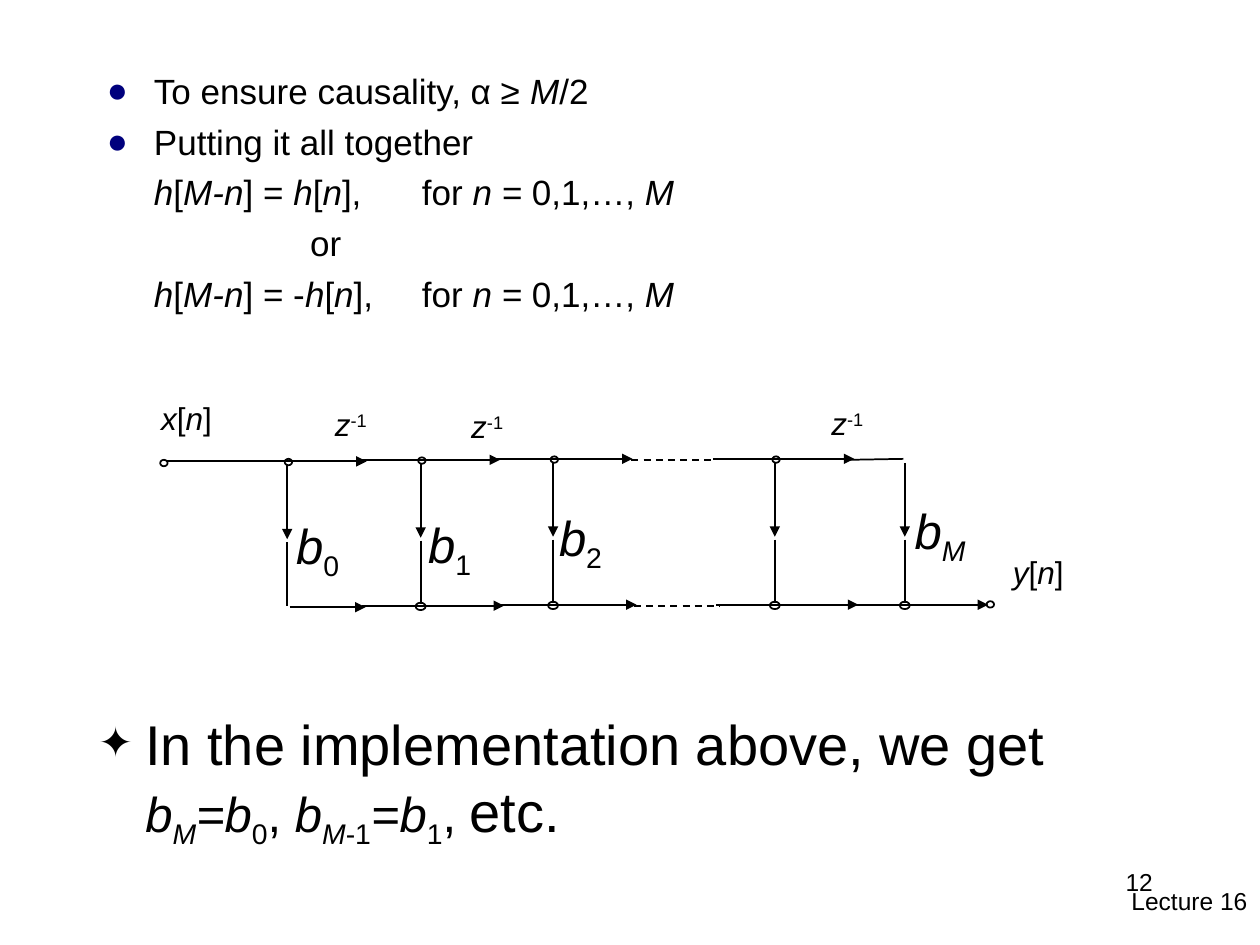
from lxml import etree
from pptx import Presentation
from pptx.dml.color import RGBColor
from pptx.enum.dml import MSO_LINE
from pptx.enum.shapes import MSO_CONNECTOR, MSO_SHAPE
from pptx.enum.text import MSO_AUTO_SIZE, PP_ALIGN
from pptx.oxml.ns import qn
from pptx.util import Cm, Pt

BLACK = RGBColor.from_string("000000")


def add_runs(p, size, runs):
    """Add (text, style) runs; in a style i is italic, _ subscript, ^ superscript, + 32 pt."""
    for text, style in runs:
        r = p.add_run()
        r.text = text
        r.font.name = "Arial"
        r.font.size = Pt(32 if "+" in style else size)
        r.font.italic = "i" in style
        r.font.color.rgb = BLACK
        if "_" in style:
            r.font._element.set("baseline", "-25000")
        elif "^" in style:
            r.font._element.set("baseline", "30000")


def add_wire(x1, y1, x2, y2, arrow=True, dashed=False):
    c = graph.shapes.add_connector(MSO_CONNECTOR.STRAIGHT, Cm(x1), Cm(y1), Cm(x2), Cm(y2))
    c.line.color.rgb = BLACK
    c.line.width = Pt(1)
    if dashed:
        c.line.dash_style = MSO_LINE.DASH
    if arrow:
        etree.SubElement(c.line._get_or_add_ln(), qn("a:tailEnd"), type="triangle")
    etree.SubElement(c._element.spPr, qn("a:effectLst"))


prs = Presentation()
prs.slide_width, prs.slide_height = Cm(25.4), Cm(19.05)
s = prs.slides.add_slide(prs.slide_layouts[1])
title = s.shapes.title._element
title.getparent().remove(title)

# Footer
for text, x, y, w, h in [("Lecture 16", 19.48, 17.73, 5.92, 1.32),
                         ("12", 18.21, 17.35, 5.28, 1.27)]:
    tf = s.shapes.add_textbox(Cm(x), Cm(y), Cm(w), Cm(h)).text_frame
    tf.word_wrap = True
    tf.paragraphs[0].alignment = PP_ALIGN.RIGHT
    add_runs(tf.paragraphs[0], 14, [(text, "")])

# Bulleted text above and below the flow graph
body = s.placeholders[1]
body.left, body.top, body.width, body.height = Cm(1.9), Cm(1.27), Cm(21.59), Cm(8.38)
remark = s.shapes.add_textbox(Cm(1.73), Cm(14.17), Cm(21.59), Cm(3.61))
for sp in (body, remark):
    sp.text_frame.word_wrap = True
    sp.text_frame.auto_size = MSO_AUTO_SIZE.NONE

h_n = [("h", "i"), ("[", ""), ("n", "i")]
h_mirror = [("h", "i"), ("[", ""), ("M-n", "i")]
for_n = [("],\tfor ", ""), ("n =", "i"), (" 0,1,…, ", ""), ("M", "i")]
# shape, size, left margin, first-line indent, (bullet, colour, size), tab stop, runs
paragraphs = [
    (body, 20, 0.95, -0.95, ("●", "00007D", 100), None,
     [("To ensure causality, α ≥ ", ""), ("M", "i"), ("/2", "")]),
    (body, 20, 0.95, -0.95, ("●", "00007D", 100), None, [("Putting it all together", "")]),
    (body, 20, 0, 0.95, None, 6.1, h_mirror + [("] = ", "")] + h_n + for_n),
    (body, 20, 4.1, 0, None, None, [("or", "")]),
    (body, 20, 0, 0.95, None, 6.35, h_mirror + [("] = -", "")] + h_n + for_n),
    (remark, 28, 0.95, -0.95, ("✦", "000000", 75), None,
     [("In the implementation above, we get ", "+"), ("b", "i"), ("M", "i_"), ("=b", "i"),
      ("0", "_"), (", ", ""), ("b", "i"), ("M", "i_"), ("-1", "_"), ("=b", "i"), ("1", "_"),
      (", ", ""), ("etc.", "+")]),
]
for sp, size, margin, indent, bullet, tab, runs in paragraphs:
    tf = sp.text_frame
    first = not tf.paragraphs[0].runs
    p = tf.paragraphs[0] if first else tf.add_paragraph()
    pPr = p._p.get_or_add_pPr()
    pPr.set("marL", str(Cm(margin)))
    pPr.set("indent", str(Cm(indent)))
    if bullet:
        char, color, percent = bullet
        clr = etree.SubElement(pPr, qn("a:buClr"))
        etree.SubElement(clr, qn("a:srgbClr"), val=color)
        etree.SubElement(pPr, qn("a:buSzPct"), val=str(percent * 1000))
        etree.SubElement(pPr, qn("a:buFont"), typeface="Arial")
        etree.SubElement(pPr, qn("a:buChar"), char=char)
    else:
        etree.SubElement(pPr, qn("a:buNone"))
    if tab:
        tabs = etree.SubElement(pPr, qn("a:tabLst"))
        etree.SubElement(tabs, qn("a:tab"), pos=str(Cm(tab)), algn="l")
    p.space_before = Pt(0 if first else 5)
    add_runs(p, size, runs)

# Flow graph: one tap per coefficient, input line above and output line below
graph = s.shapes.add_group_shape()
taps = [(5.79, 9.3), (8.48, 9.27), (11.15, 9.25), (15.62, 9.25), (18.24, 9.25)]
last = len(taps) - 1
nodes = [(3.23, 9.27, 0.15, 0.13), (19.89, 12.12, 0.15, 0.13)]
for i, (x, top) in enumerate(taps):
    bottom = top + 2.94
    add_wire(x, top + 0.08, x, top + 1.57)
    add_wire(x, top + 1.63, x, bottom - 0.03, arrow=False)
    if i < last:
        add_wire(x - 1.25 if i else 3.35, top, x + 1.6, top)
        nodes.append((x - 0.05, top - 0.05, 0.15, 0.13))
    add_wire(x - 1.18 if i else x + 0.05, bottom, x + 1.68 if i else x + 1.58, bottom)
    if i > 0:
        nodes.append((x - 0.1, bottom - 0.06, 0.2, 0.15))
add_wire(17.07, 9.27, 18.21, 9.25, arrow=False)
add_wire(12.73, 9.27, 14.43, 9.27, arrow=False, dashed=True)
add_wire(12.78, 12.22, 14.5, 12.22, arrow=False, dashed=True)

for x, y, w, h in nodes:
    node = graph.shapes.add_shape(MSO_SHAPE.OVAL, Cm(x), Cm(y), Cm(w), Cm(h))
    node.shadow.inherit = False
    node.fill.background()
    node.line.color.rgb = BLACK
    node.line.width = Pt(1)

delay = [("z", "i"), ("-1", "^")]
labels = [(x, y, 1.22, 1.02, 18, delay) for x, y in [(6.5, 8.05), (9.25, 8.08), (16.51, 8.03)]]
labels += [(x, y, 1.55, 1.02, 18, [(name, "i"), ("[", ""), ("n", "i"), ("]", "")])
           for name, x, y in [("x", 3, 7.92), ("y", 20.17, 11.02)]]
labels += [(x, y, w, 1.45, 28, [("b", "i"), (index, style)])
           for index, style, x, y, w in [("0", "_", 5.72, 10.26, 1.42),
                                         ("1", "_", 8.38, 10.24, 1.42),
                                         ("2", "_", 11.02, 10.11, 1.42),
                                         ("M", "i_", 18.19, 9.96, 1.63)]]
for x, y, w, h, size, runs in labels:
    tf = graph.shapes.add_textbox(Cm(x), Cm(y), Cm(w), Cm(h)).text_frame
    tf.word_wrap = False
    tf.auto_size = MSO_AUTO_SIZE.SHAPE_TO_FIT_TEXT
    add_runs(tf.paragraphs[0], size, runs)

prs.save("out.pptx")
